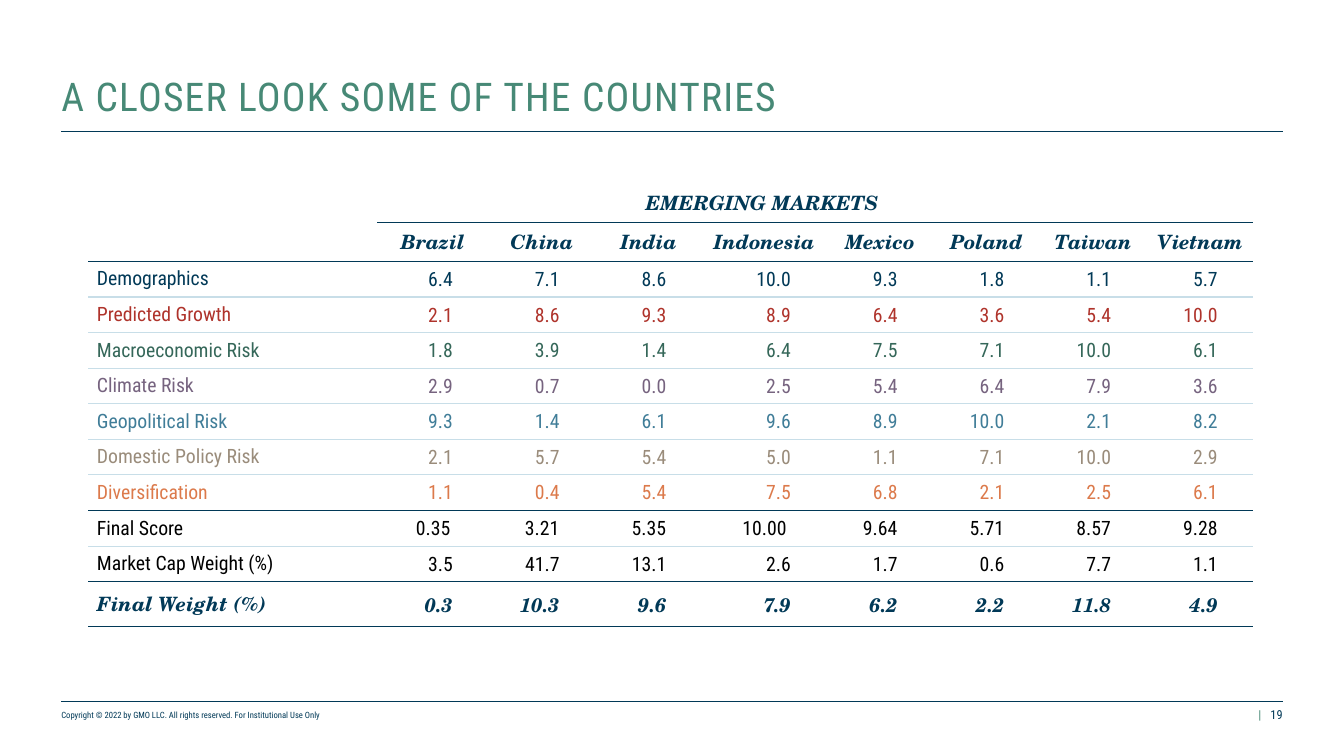
from lxml import etree
from pptx import Presentation
from pptx.dml.color import RGBColor
from pptx.enum.shapes import MSO_CONNECTOR
from pptx.enum.text import MSO_ANCHOR, PP_ALIGN
from pptx.oxml.ns import qn
from pptx.util import Inches, Pt

LEFT, CENTER, RIGHT = PP_ALIGN.LEFT, PP_ALIGN.CENTER, PP_ALIGN.RIGHT
MIDDLE, BOTTOM = MSO_ANCHOR.MIDDLE, MSO_ANCHOR.BOTTOM
STRAIGHT = MSO_CONNECTOR.STRAIGHT

SANS, SERIF = "Roboto Condensed", "TeX Gyre Schola"
COLORS = {
    "navy": "013957", "green": "478976", "pale": "C8DEE8", "red": "AF332B",
    "forest": "356759", "purple": "76637F", "blue": "407D98",
    "taupe": "9A8C7B", "orange": "DC7A4B", "black": "000000",
}
COUNTRIES = ["Brazil", "China", "India", "Indonesia", "Mexico", "Poland", "Taiwan", "Vietnam"]
SCORES = [
    ("Demographics", "navy", "6.4 7.1 8.6 10.0 9.3 1.8 1.1 5.7"),
    ("Predicted Growth", "red", "2.1 8.6 9.3 8.9 6.4 3.6 5.4 10.0"),
    ("Macroeconomic Risk", "forest", "1.8 3.9 1.4 6.4 7.5 7.1 10.0 6.1"),
    ("Climate Risk", "purple", "2.9 0.7 0.0 2.5 5.4 6.4 7.9 3.6"),
    ("Geopolitical Risk", "blue", "9.3 1.4 6.1 9.6 8.9 10.0 2.1 8.2"),
    ("Domestic Policy Risk", "taupe", "2.1 5.7 5.4 5.0 1.1 7.1 10.0 2.9"),
    ("Diversification", "orange", "1.1 0.4 5.4 7.5 6.8 2.1 2.5 6.1"),
    ("Final Score", "black", "0.35 3.21 5.35 10.00 9.64 5.71 8.57 9.28"),
    ("Market Cap Weight (%)", "black", "3.5 41.7 13.1 2.6 1.7 0.6 7.7 1.1"),
    ("Final Weight (%)", "navy", "0.3 10.3 9.6 7.9 6.2 2.2 11.8 4.9"),
]
COLUMN_WIDTHS = [3.25, 1.25, 1.2, 1.2, 1.4, 1.2, 1.2, 1.2, 1.2]
ROW_HEIGHTS = [0.44] * 2 + [0.4] * 9 + [0.5]
NAVY_RULES = {"Diversification", "Market Cap Weight (%)", "Final Weight (%)"}


class CountrySlide:
    """Draws the elements of one slide in a shared style."""

    def __init__(self, slide):
        self.slide = slide

    def style(self, paragraph, size, color, align=LEFT, serif=False):
        paragraph.alignment = align
        for run in paragraph.runs:
            font = run.font
            font.name = SERIF if serif else SANS
            font.size = Pt(size)
            font.bold = font.italic = serif
            font.color.rgb = RGBColor.from_string(COLORS[color])

    def text(self, wording, left, top, width, height, size, color, align=LEFT):
        box = self.slide.shapes.add_textbox(Inches(left), Inches(top), Inches(width), Inches(height))
        frame = box.text_frame
        frame.word_wrap = True
        frame.vertical_anchor = BOTTOM
        frame.margin_left = frame.margin_right = frame.margin_top = frame.margin_bottom = 0
        frame.text = wording
        self.style(frame.paragraphs[0], size, color, align)
        return frame.paragraphs[0]

    def title(self, wording):
        heading = self.text(wording, 0.69, 0.5, 13.74, 0.85, 32, "green")
        heading.line_spacing = 0.9
        heading.runs[0].font._element.set("spc", "100")

    def rule(self, top, weight):
        line = self.slide.shapes.add_connector(
            STRAIGHT, Inches(0.69), Inches(top), Inches(14.42), Inches(top))
        line.line.color.rgb = RGBColor.from_string(COLORS["navy"])
        line.line.width = Pt(weight)
        etree.SubElement(line._element.spPr, qn("a:effectLst"))

    def borders(self, cell, top, bottom):
        properties = cell._tc.get_or_add_tcPr()
        for side, color in (("L", None), ("R", None), ("T", top), ("B", bottom)):
            edge = etree.SubElement(properties, qn(f"a:ln{side}"), w=str(Pt(1)))
            if color:
                fill = etree.SubElement(edge, qn("a:solidFill"))
                etree.SubElement(fill, qn("a:srgbClr"), val=COLORS[color])
            else:
                etree.SubElement(edge, qn("a:noFill"))
        cell.fill.background()

    def cell(self, cell, wording, color, align, anchor=MIDDLE, serif=False):
        cell.text = wording
        cell.vertical_anchor = anchor
        self.style(cell.text_frame.paragraphs[0], 16, color, align, serif)

    def score_table(self):
        table = self.slide.shapes.add_table(
            len(ROW_HEIGHTS), len(COLUMN_WIDTHS), Inches(0.99), Inches(2.06),
            Inches(sum(COLUMN_WIDTHS)), Inches(sum(ROW_HEIGHTS))).table
        table.first_row = table.horz_banding = False
        for column, width in zip(table.columns, COLUMN_WIDTHS):
            column.width = Inches(width)
        for row, height in zip(table.rows, ROW_HEIGHTS):
            row.height = Inches(height)

        bottoms = ["navy", "navy"] + [
            "navy" if label in NAVY_RULES else "pale" for label, _, _ in SCORES]
        for r, (top, bottom) in enumerate(zip([None] + bottoms, bottoms)):
            for c in range(len(COLUMN_WIDTHS)):
                corner = c == 0
                self.borders(table.cell(r, c),
                             None if corner and r < 2 else top,
                             None if corner and r == 0 else bottom)

        table.cell(0, 1).merge(table.cell(0, 7))
        self.cell(table.cell(0, 1), "EMERGING MARKETS", "navy", CENTER, BOTTOM, True)
        for c, country in enumerate(COUNTRIES, 1):
            self.cell(table.cell(1, c), country, "navy", CENTER, BOTTOM, True)

        for r, (label, color, values) in enumerate(SCORES, 2):
            serif = label == "Final Weight (%)"
            centered = label == "Final Score"
            self.cell(table.cell(r, 0), label, color, LEFT, serif=serif)
            for c, value in enumerate(values.split(), 1):
                score = table.cell(r, c)
                score.margin_left = score.margin_top = Inches(0.01)
                score.margin_right = Inches(0 if centered else 0.4)
                score.margin_bottom = 0
                self.cell(score, value, color, CENTER if centered else RIGHT, serif=serif)


def main():
    deck = Presentation()
    deck.slide_width, deck.slide_height = Inches(15.11), Inches(8.5)
    page = CountrySlide(deck.slides.add_slide(deck.slide_layouts[6]))
    page.text("Copyright © 2022 by GMO LLC. All rights reserved. For Institutional Use Only",
              0.69, 7.95, 7.1, 0.15, 7, "navy")
    page.text("|", 14.11, 7.95, 0.11, 0.17, 10, "green", CENTER)
    page.text("19", 11.02, 7.95, 3.4, 0.17, 10, "navy", RIGHT)
    page.rule(7.88, 0.5)
    page.rule(1.48, 1)
    page.title("A CLOSER LOOK SOME OF THE COUNTRIES")
    page.score_table()
    deck.save("out.pptx")


if __name__ == "__main__":
    main()
